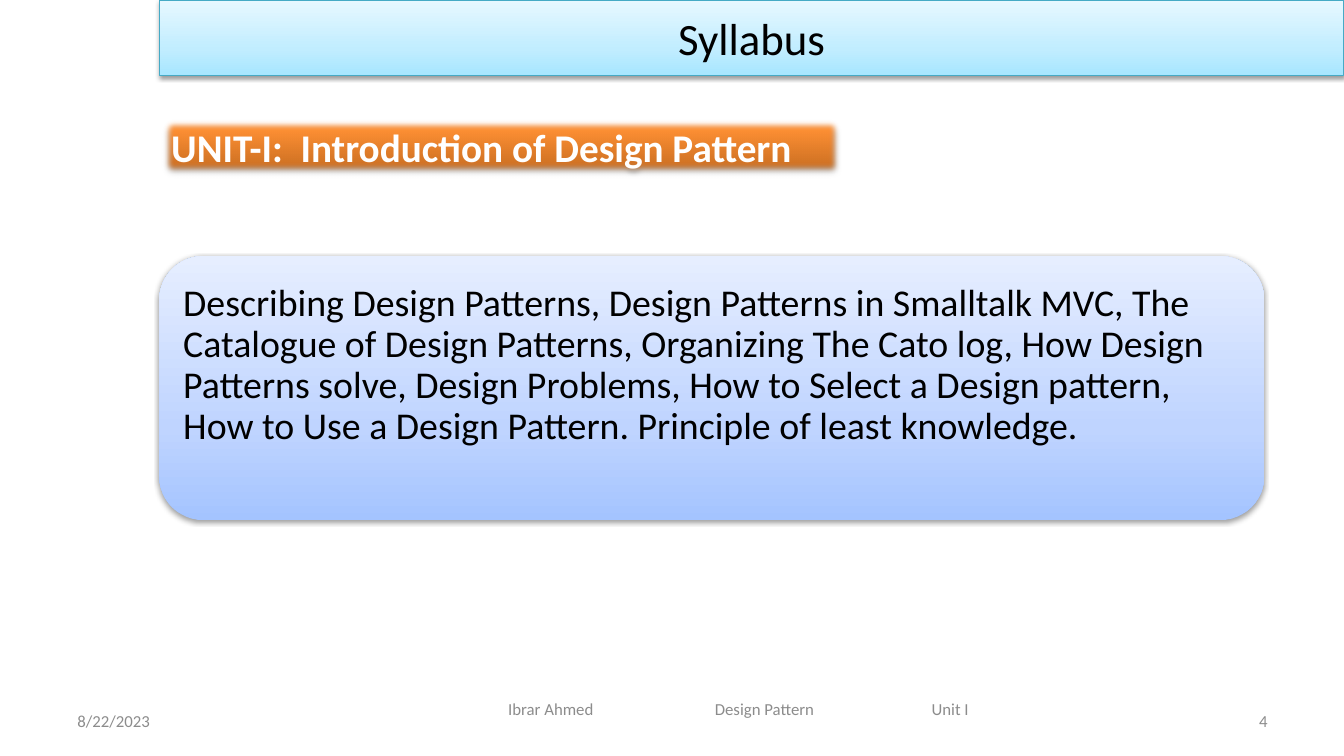
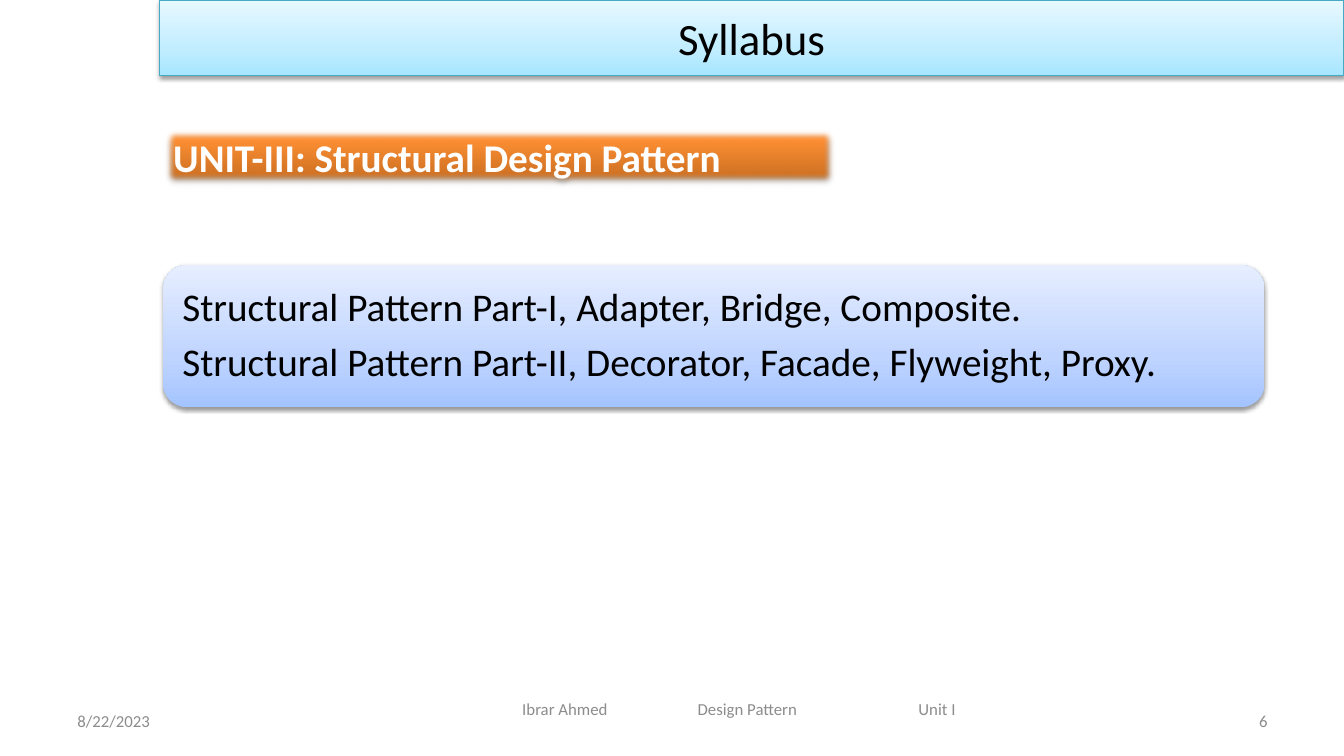
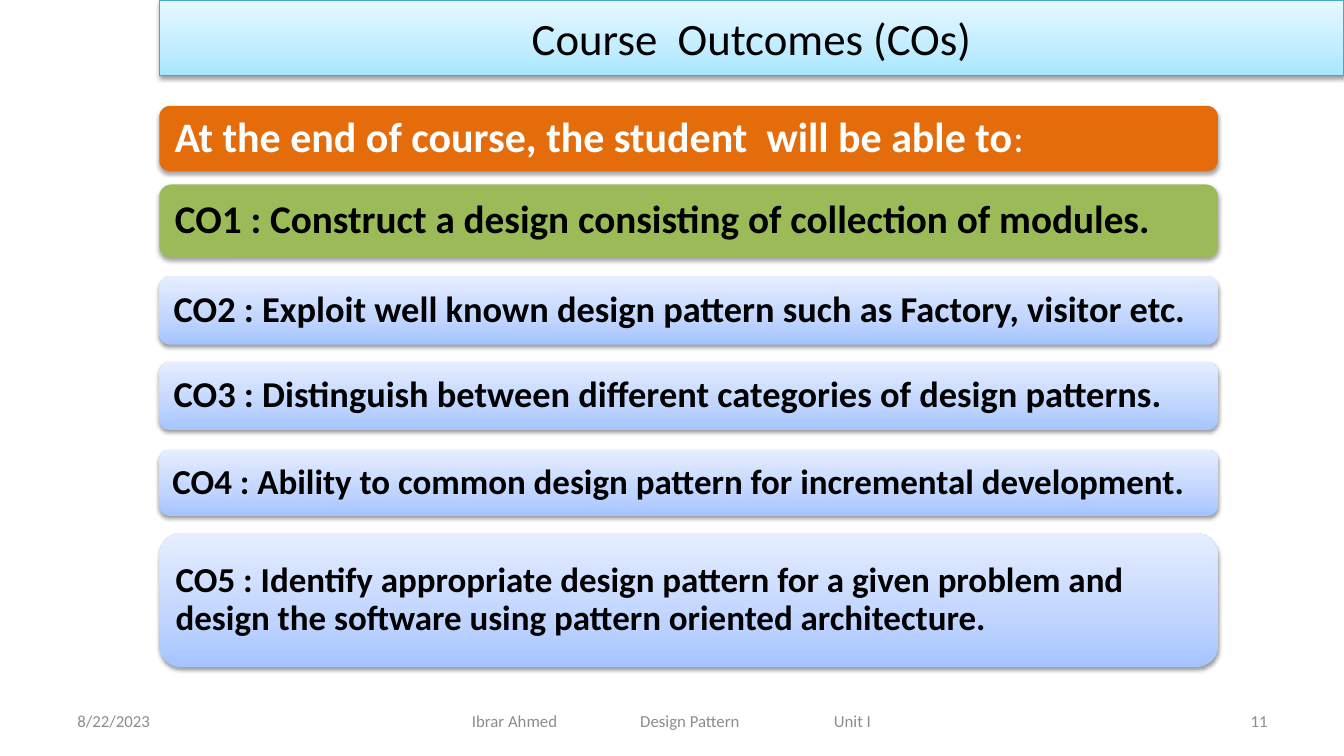
"""Build three syllabus and course outcome slides."""
from dataclasses import dataclass

from lxml import etree
from pptx import Presentation
from pptx import util as u
from pptx.dml.color import RGBColor
from pptx.enum import shapes, text
from pptx.oxml import ns

BOX = shapes.MSO_SHAPE.RECTANGLE
ROUNDED = shapes.MSO_SHAPE.ROUNDED_RECTANGLE
LEFT, CENTER = text.PP_ALIGN.LEFT, text.PP_ALIGN.CENTER
RIGHT, JUSTIFY = text.PP_ALIGN.RIGHT, text.PP_ALIGN.JUSTIFY
TOP, MIDDLE = text.MSO_ANCHOR.TOP, text.MSO_ANCHOR.MIDDLE


@dataclass(frozen=True)
class Theme:
    """Colours, fills and type sizes of the deck."""
    font: str = "Calibri"
    black: str = "000000"
    white: str = "FFFFFF"
    grey: str = "8C8C8C"
    band_line: str = "46AAC5"
    orange: str = "E46C0A"
    green: str = "9BBB59"
    cyan: tuple = ((0, "A7E6FF"), (35, "C1EDFF"), (100, "E7F8FF"))
    blue: tuple = ((0, "A4C4FF"), (35, "BFD4FF"), (100, "E6EEFF"))
    amber: tuple = ((0, "C2691F"), (80, "FF9034"), (100, "FF9136"))
    title: float = 32
    lead: float = 30
    unit: float = 28
    topics: float = 27
    outcome: float = 26
    long_outcome: float = 25
    footer: float = 12
    line_spacing: float = 0.9
    space_after: float = 9.5


THEME = Theme()


@dataclass(frozen=True)
class Area:
    """Position and size in inches."""
    left: float
    top: float
    width: float
    height: float

    def lengths(self) -> list:
        """Return the four values as lengths."""
        return [u.Inches(v) for v in (self.left, self.top, self.width, self.height)]


@dataclass(frozen=True)
class Style:
    """Look of one line of text."""
    size: float
    color: str = THEME.black
    bold: bool = False
    align: text.PP_ALIGN = LEFT


@dataclass(frozen=True)
class Footer:
    """Place of the footer and left edges of its three parts."""
    area: Area
    starts: tuple
    number: str


@dataclass(frozen=True)
class Unit:
    """One syllabus unit with its heading and topics."""
    heading: str
    heading_area: Area
    topics: tuple
    topics_area: Area
    size: float
    inset: float
    bottom_inset: float


@dataclass(frozen=True)
class Outcome:
    """One bar in the list of course outcomes."""
    label: str
    top: float
    height: float
    size: float
    inset: float
    fill: object = THEME.blue
    color: str = THEME.black
    ending: str = ""


UNITS = (
    (Unit("UNIT-I:  Introduction of Design Pattern", Area(1.6, 1.17, 6.75, 0.57),
          ("Describing Design Patterns, Design Patterns in Smalltalk MVC, The "
           "Catalogue of Design Patterns, Organizing The Cato log, How Design "
           "Patterns solve, Design Problems, How to Select a Design pattern, "
           "How to Use a Design Pattern. Principle of least knowledge.",),
          Area(1.58, 2.54, 10.96, 2.62), THEME.topics, 0.11, 0.55),
     Footer(Area(4.75, 6.83, 5.17, 0.4), (5.04, 7.09, 9.24), "4")),
    (Unit("UNIT-III: Structural Design Pattern", Area(1.62, 1.27, 6.67, 0.57),
          ("Structural Pattern Part-I, Adapter, Bridge, Composite.",
           "Structural Pattern Part-II, Decorator, Facade, Flyweight, Proxy."),
          Area(1.62, 2.63, 10.92, 1.41), THEME.unit, 0.12, 0.12),
     Footer(Area(4.75, 6.83, 5.17, 0.4), (5.18, 6.92, 9.11), "6")),
)
OUTCOMES = (
    Outcome("At the end of course, the student  will be able to", 1.05, 0.65,
            THEME.lead, 0.12, THEME.orange, THEME.white, ":"),
    Outcome("CO1 : Construct a design consisting of collection of modules.",
            1.83, 0.73, THEME.unit, 0.12, THEME.green),
    Outcome("CO2 : Exploit well known design pattern such as Factory, visitor etc.",
            2.74, 0.68, THEME.outcome, 0.11),
    Outcome("CO3 : Distinguish between different categories of design patterns.",
            3.59, 0.68, THEME.outcome, 0.11),
    Outcome("CO4 : Ability to common design pattern for incremental development.",
            4.46, 0.66, THEME.long_outcome, 0.1),
    Outcome("CO5 : Identify appropriate design pattern for a given problem and "
            "design the software using pattern oriented architecture.",
            5.29, 1.33, THEME.long_outcome, 0.1),
)
OUTCOMES_FOOTER = Footer(Area(4.56, 6.95, 4.22, 0.4), (4.68, 6.35, 8.27), "11")


def add_element(parent, tag: str, **attributes):
    """Append a drawing element to its parent."""
    return etree.SubElement(parent, ns.qn(tag),
                            {key: str(value) for key, value in attributes.items()})


def add_effects(shape, alpha: int, distance: float, soft_edge: float = 0) -> None:
    """Give a shape a shadow below it and optional soft edges."""
    effects = add_element(shape._element.spPr, "a:effectLst")
    shadow = add_element(effects, "a:outerShdw", blurRad=u.Pt(3.1),
                         dist=u.Pt(distance), dir=5400000, rotWithShape=0)
    color = add_element(shadow, "a:srgbClr", val=THEME.black)
    add_element(color, "a:alpha", val=alpha * 1000)
    if soft_edge:
        add_element(effects, "a:softEdge", rad=u.Pt(soft_edge))


def fill_shape(shape, fill) -> None:
    """Fill with one colour, or with stops running upwards."""
    if isinstance(fill, str):
        shape.fill.solid()
        shape.fill.fore_color.rgb = RGBColor.from_string(fill)
        return
    shape.fill.gradient()
    shape.fill.gradient_angle = 90
    stops = shape._element.spPr.find(ns.qn("a:gradFill")).find(ns.qn("a:gsLst"))
    for stop in list(stops):
        stops.remove(stop)
    for position, color in fill:
        stop = add_element(stops, "a:gs", pos=position * 1000)
        add_element(stop, "a:srgbClr", val=color)


def add_panel(slide, kind, area: Area, fill, line: str = "", soft_edge: float = 0):
    """Draw a filled shape with a shadow."""
    panel = slide.shapes.add_shape(kind, *area.lengths())
    fill_shape(panel, fill)
    if line:
        panel.line.color.rgb = RGBColor.from_string(line)
        panel.line.width = u.Pt(0.75)
    else:
        panel.line.fill.background()
    light = fill in (THEME.cyan, THEME.blue)
    add_effects(panel, 38 if light else 35, 1.6 if light else 1.8, soft_edge)
    return panel


def style_paragraph(paragraph, style: Style) -> None:
    """Set the alignment and font of a paragraph."""
    paragraph.alignment = style.align
    font = paragraph.font
    font.name, font.size, font.bold = THEME.font, u.Pt(style.size), style.bold
    font.color.rgb = RGBColor.from_string(style.color)


def write(shape, lines: tuple, style: Style, anchor=MIDDLE):
    """Write one paragraph per line into a shape."""
    frame = shape.text_frame
    frame.word_wrap = True
    frame.vertical_anchor = anchor
    for index, line in enumerate(lines):
        paragraph = frame.add_paragraph() if index else frame.paragraphs[0]
        paragraph.add_run().text = line
        style_paragraph(paragraph, style)
    return frame


def write_body(shape, lines: tuple, style: Style, inset: float, bottom: float):
    """Write tightly set text with even insets."""
    frame = write(shape, lines, style)
    frame.margin_left = frame.margin_right = frame.margin_top = u.Inches(inset)
    frame.margin_bottom = u.Inches(bottom)
    for paragraph in frame.paragraphs:
        paragraph.line_spacing = THEME.line_spacing
        paragraph.space_after = u.Pt(THEME.space_after)
    return frame


def add_footer(slide, footer: Footer) -> None:
    """Write the date, the course line and the slide number."""
    for area, label, align in (
            (Area(0.67, 6.95, 3.11, 0.4), "8/22/2023", LEFT),
            (Area(9.56, 6.95, 3.11, 0.4), footer.number, RIGHT)):
        write(slide.shapes.add_textbox(*area.lengths()), (label,),
              Style(THEME.footer, THEME.grey, align=align))
    course = slide.shapes.add_textbox(*footer.area.lengths())
    first = footer.starts[0]
    paragraph = course.text_frame.paragraphs[0]
    tabs = add_element(paragraph._p.get_or_add_pPr(), "a:tabLst")
    for start in footer.starts[1:]:
        add_element(tabs, "a:tab", pos=u.Inches(start - first), algn="l")
    frame = write(course, ("Ibrar Ahmed\tDesign Pattern\tUnit I",),
                  Style(THEME.footer, THEME.grey))
    frame.margin_left = u.Inches(first - footer.area.left)


def add_page(deck, title: str, footer: Footer):
    """Add a blank slide with its title band and footer."""
    slide = deck.slides.add_slide(deck.slide_layouts[6])
    add_footer(slide, footer)
    band = add_panel(slide, BOX, Area(1.58, 0, 11.75, 0.75), THEME.cyan,
                     THEME.band_line)
    write(band, (title,), Style(THEME.title, align=CENTER))
    return slide


def add_unit(slide, unit: Unit) -> None:
    """Draw a unit heading and its panel of topics."""
    heading = add_panel(slide, BOX, unit.heading_area, THEME.amber, soft_edge=5)
    write(heading, (unit.heading,), Style(THEME.unit, THEME.white, True, JUSTIFY), TOP)
    topics = add_panel(slide, ROUNDED, unit.topics_area, THEME.blue)
    write_body(topics, unit.topics, Style(unit.size), unit.inset, unit.bottom_inset)


def add_outcome(slide, outcome: Outcome) -> None:
    """Draw one course outcome bar."""
    bar = add_panel(slide, ROUNDED, Area(1.58, outcome.top, 10.5, outcome.height),
                    outcome.fill)
    frame = write_body(bar, (outcome.label,), Style(outcome.size, outcome.color, True),
                       outcome.inset, outcome.inset)
    if outcome.ending:
        ending = frame.paragraphs[0].add_run()
        ending.text = outcome.ending
        ending.font.size, ending.font.bold = u.Pt(THEME.unit), False


def main() -> None:
    """Build and save the deck."""
    deck = Presentation()
    deck.slide_width, deck.slide_height = u.Inches(13.33), u.Inches(7.5)
    for unit, footer in UNITS:
        add_unit(add_page(deck, "Syllabus", footer), unit)
    outcomes_page = add_page(deck, "Course  Outcomes (COs)", OUTCOMES_FOOTER)
    for outcome in OUTCOMES:
        add_outcome(outcomes_page, outcome)
    deck.save("out.pptx")


if __name__ == "__main__":
    main()
